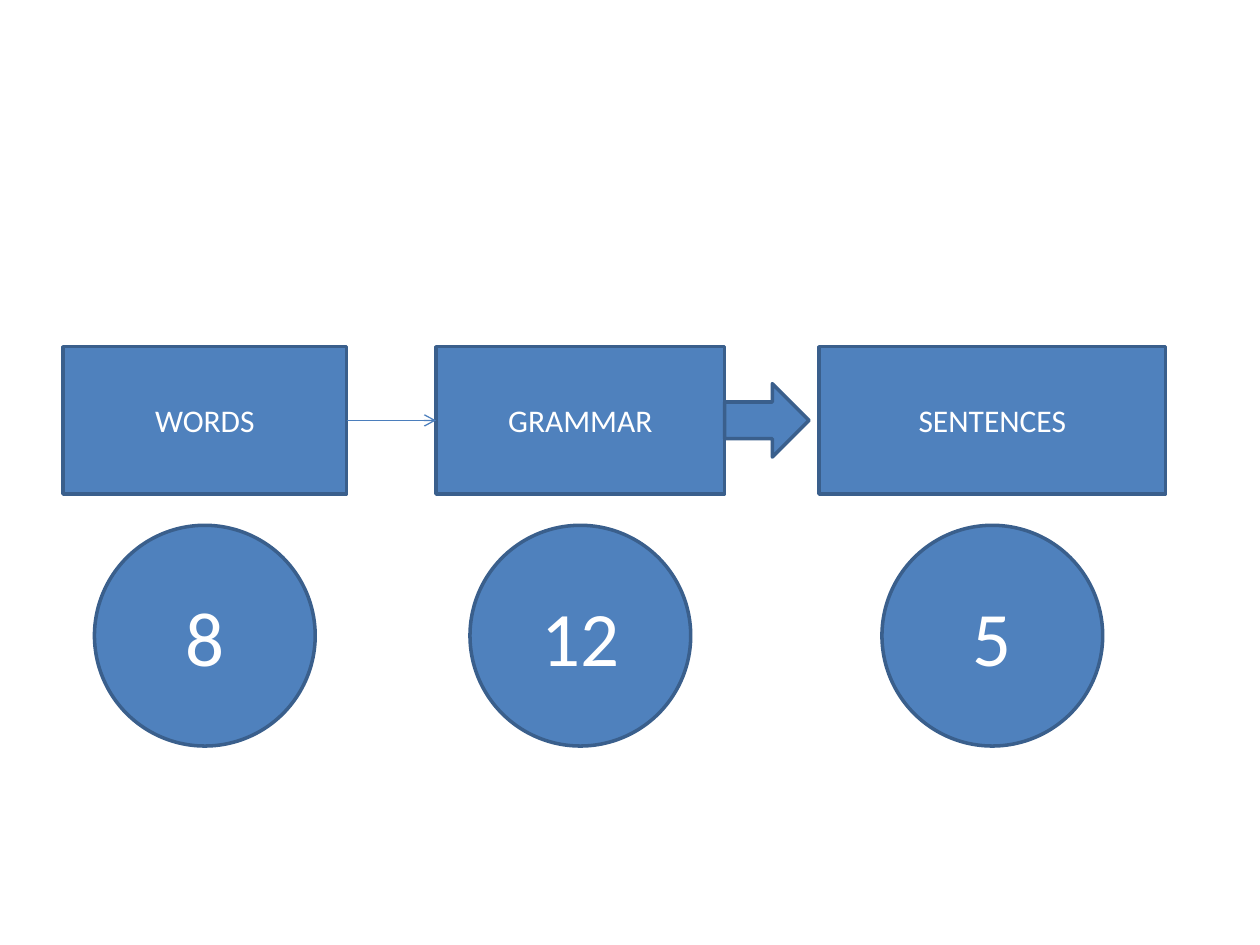
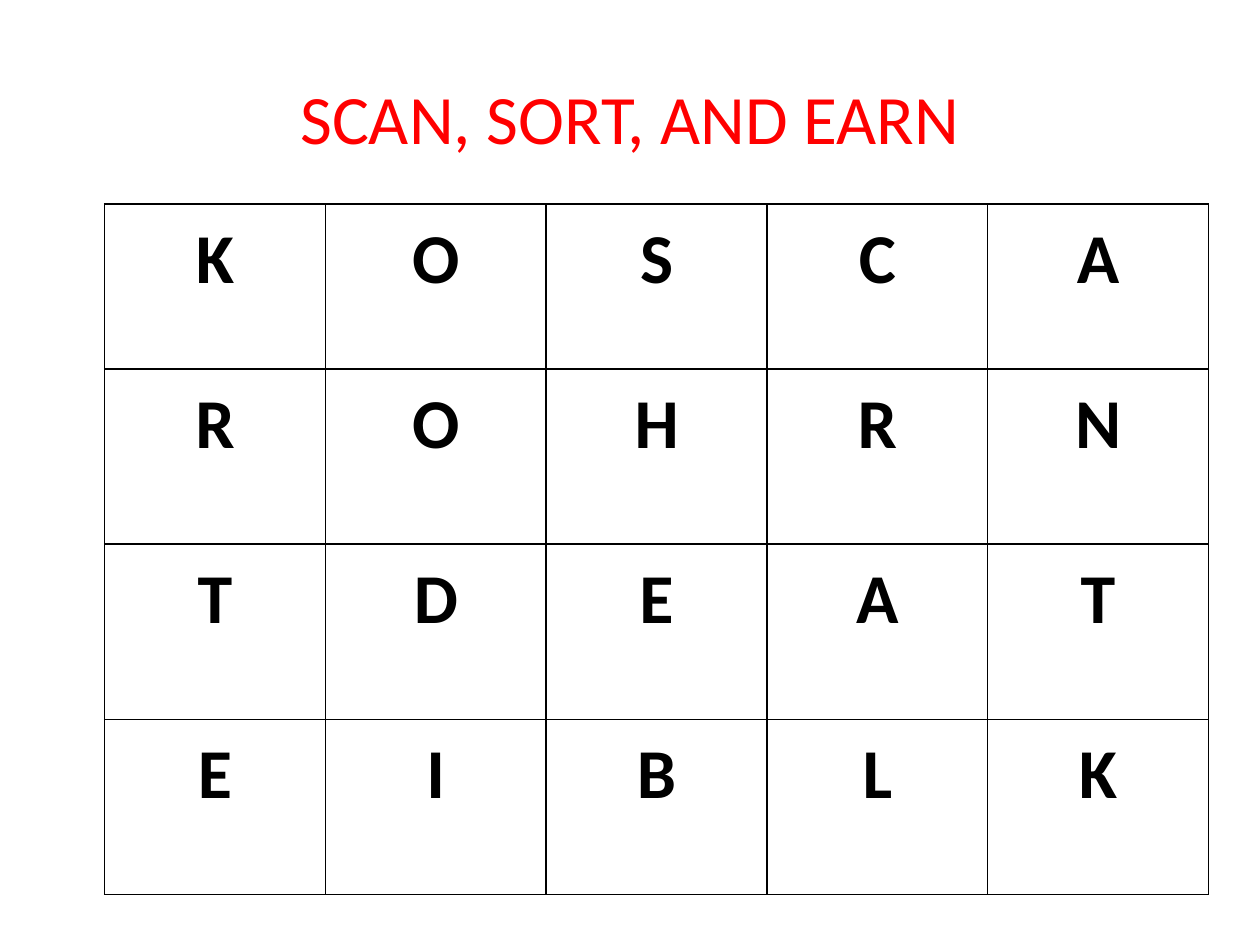
import lxml.etree
import pptx
import pptx.dml.color
import pptx.enum.shapes
import pptx.enum.text
import pptx.oxml.ns
import pptx.util
from pptx.util import Cm

SHAPES = pptx.enum.shapes.MSO_SHAPE
CENTER = pptx.enum.text.PP_ALIGN.CENTER
MIDDLE = pptx.enum.text.MSO_ANCHOR.MIDDLE
TITLE_ONLY, BLANK = 5, 6
RIGHT_SIDE, LEFT_SIDE = 3, 1


def color(hex_string):
    return pptx.dml.color.RGBColor.from_string(hex_string)


def add_element(parent, name, **attributes):
    """Append a drawing element to an XML parent and return it."""
    return lxml.etree.SubElement(parent, pptx.oxml.ns.qn("a:" + name), attributes)


class Deck:
    font = "Calibri"
    fill = "4F81BD"
    outline = "3A5F8C"
    connector = "4B7EBC"
    white = "FFFFFF"
    black = "000000"
    red = "FF0000"

    def __init__(self):
        self.presentation = pptx.Presentation()
        self.presentation.slide_width = Cm(25.4)
        self.presentation.slide_height = Cm(19.05)
        self.slide = None

    def add_slide(self, layout):
        layouts = self.presentation.slide_layouts
        self.slide = self.presentation.slides.add_slide(layouts[layout])

    def set_text(self, text_frame, text, size, text_color, bold=False):
        """Put centred text in a frame and return its paragraph."""
        text_frame.text = text
        paragraph = text_frame.paragraphs[0]
        paragraph.alignment = CENTER
        for run in paragraph.runs:
            run.font.name = self.font
            run.font.size = pptx.util.Pt(size)
            run.font.bold = bold
            run.font.color.rgb = color(text_color)
        return paragraph

    def title(self, text):
        title = self.slide.shapes.title
        title.left, title.top = Cm(1.27), Cm(0.76)
        title.width, title.height = Cm(22.86), Cm(3.18)
        title.text_frame.vertical_anchor = MIDDLE
        self.set_text(title.text_frame, text, 39.6, self.red)

    def shape(self, kind, left, top, width, height, text="", size=18):
        shape = self.slide.shapes.add_shape(kind, left, top, width, height)
        shape.shadow.inherit = False
        shape.fill.solid()
        shape.fill.fore_color.rgb = color(self.fill)
        shape.line.color.rgb = color(self.outline)
        shape.line.width = pptx.util.Pt(2)
        if text:
            shape.text_frame.vertical_anchor = MIDDLE
            self.set_text(shape.text_frame, text, size, self.white)
        return shape

    def arrow_between(self, start, end):
        arrow = self.slide.shapes.add_connector(
            pptx.enum.shapes.MSO_CONNECTOR.STRAIGHT, 0, 0, 0, 0)
        arrow.begin_connect(start, RIGHT_SIDE)
        arrow.end_connect(end, LEFT_SIDE)
        arrow.line.color.rgb = color(self.connector)
        arrow.line.width = pptx.util.Pt(0.75)
        properties = arrow._element.spPr
        add_element(properties.find(pptx.oxml.ns.qn("a:ln")), "tailEnd", type="arrow")
        add_element(properties, "effectLst")

    def letter_grid(self, rows, left, top, column_width, row_heights):
        columns = len(rows[0])
        frame = self.slide.shapes.add_table(
            len(rows), columns, left, top, column_width * columns, sum(row_heights))
        table = frame.table
        table.first_row = table.horz_banding = False
        for column in table.columns:
            column.width = column_width
        for row, height, letters in zip(table.rows, row_heights, rows):
            row.height = height
            for cell, letter in zip(row.cells, letters):
                self.letter_cell(cell, letter)

    def letter_cell(self, cell, letter):
        cell.margin_left = cell.margin_right = Cm(0.18)
        cell.margin_top = cell.margin_bottom = 0
        paragraph = self.set_text(cell.text_frame, letter, 40, self.black, bold=True)
        paragraph.line_spacing = 1.15
        properties = cell._tc.get_or_add_tcPr()
        for side in ("lnL", "lnR", "lnT", "lnB"):
            border = add_element(properties, side, w=str(int(pptx.util.Pt(1))))
            add_element(add_element(border, "solidFill"), "srgbClr", val=self.black)
        cell.fill.background()


def add_process_slide(deck):
    deck.add_slide(BLANK)
    box_top, box_height = Cm(6.99), Cm(2.97)
    circle_top, diameter = Cm(10.59), Cm(4.45)
    steps = [
        ("WORDS", "8", Cm(1.27), Cm(5.72)),
        ("GRAMMAR", "12", Cm(8.79), Cm(5.82)),
        ("SENTENCES", "5", Cm(16.51), Cm(6.99)),
    ]
    boxes = []
    for name, count, left, width in steps:
        boxes.append(deck.shape(SHAPES.RECTANGLE, left, box_top, width, box_height, name))
        circle_left = left + (width - diameter) // 2
        deck.shape(SHAPES.OVAL, circle_left, circle_top, diameter, diameter, count, 44)

    words, grammar, _ = boxes
    deck.arrow_between(words, grammar)
    arrow_height = Cm(1.48)
    deck.shape(SHAPES.RIGHT_ARROW, grammar.left + grammar.width,
               box_top + (box_height - arrow_height) // 2, Cm(1.7), arrow_height)


def add_letters_slide(deck):
    deck.add_slide(TITLE_ONLY)
    deck.title("SCAN, SORT, AND EARN")
    deck.letter_grid(["KOSCA", "ROHRN", "TDEAT", "EIBLK"], Cm(2.11), Cm(4.11),
                     Cm(4.45), [Cm(3.33)] + [Cm(3.53)] * 3)


def main():
    deck = Deck()
    add_process_slide(deck)
    add_letters_slide(deck)
    deck.presentation.save("out.pptx")


if __name__ == "__main__":
    main()
